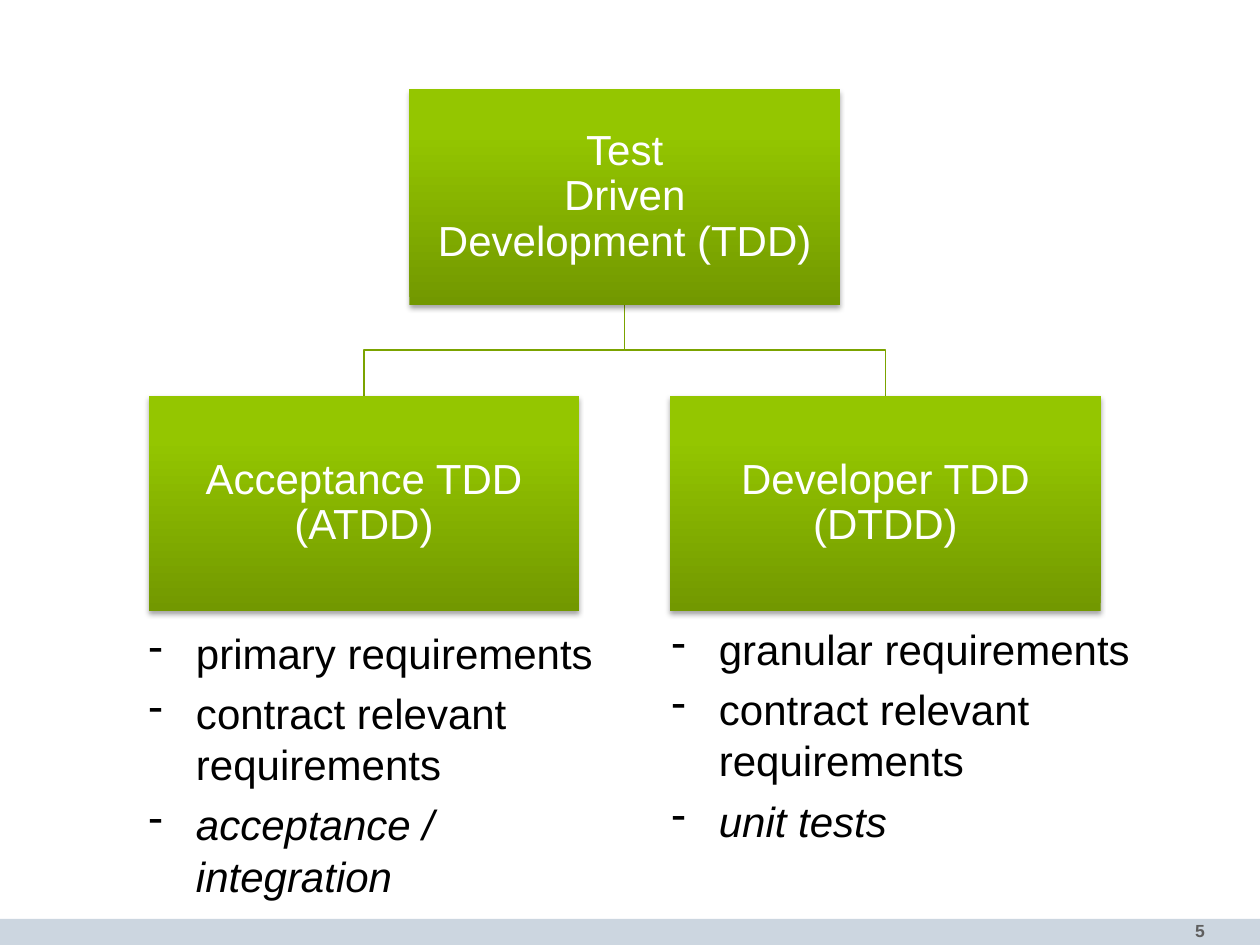
"""Build the slide that splits test driven development into its two kinds."""
from dataclasses import dataclass

from lxml import etree
from pptx import Presentation
from pptx.dml.color import RGBColor
from pptx.enum.shapes import MSO_SHAPE
from pptx.enum.text import MSO_ANCHOR, PP_ALIGN
from pptx.oxml import parse_xml
from pptx.oxml.ns import nsdecls, qn
from pptx.util import Pt

RECTANGLE = MSO_SHAPE.RECTANGLE
MIDDLE = MSO_ANCHOR.MIDDLE
CENTER, LEFT, RIGHT = PP_ALIGN.CENTER, PP_ALIGN.LEFT, PP_ALIGN.RIGHT

COLORS = {
    "footer": "CCD6E0", "number": "5F5F5F", "branch": "7BA300",
    "dark": "729800", "green": "94C600", "light": "95C700",
    "white": "FFFFFF", "black": "000000",
}
GRADIENT = ((0, "dark"), (80, "green"), (100, "light"))
FONT = "Arial"
BOX_W, BOX_H = 246, 123
ROOT_X, ROOT_Y = 234, 51.1
CHILD_OFFSET, CHILD_Y = 149, 226.1
LIST_W, LIST_H, INDENT = 266.4, 152.6, 27


@dataclass
class Box:
    label: str
    x: float
    y: float

    @property
    def center(self) -> float:
        return self.x + BOX_W / 2


@dataclass
class Traits:
    x: float
    y: float
    lines: tuple[str, ...]
    test_kind: str


ROOT = Box("Test\nDriven\nDevelopment (TDD)", ROOT_X, ROOT_Y)
CHILDREN = (
    Box("Acceptance TDD\n(ATDD)", ROOT_X - CHILD_OFFSET, CHILD_Y),
    Box("Developer TDD\n(DTDD)", ROOT_X + CHILD_OFFSET, CHILD_Y),
)
TRAITS = (
    Traits(85, 357.8, ("primary requirements", "contract relevant requirements"),
           "acceptance / integration"),
    Traits(383.8, 355.7, ("granular requirements", "contract relevant requirements"),
           "unit tests"),
)


def rgb(name: str) -> RGBColor:
    """Return a named colour."""
    return RGBColor.from_string(COLORS[name])


def set_margins(frame, margin: float) -> None:
    """Wrap a text frame and give it equal insets."""
    frame.word_wrap = True
    frame.margin_left = frame.margin_right = Pt(margin)
    frame.margin_top = frame.margin_bottom = Pt(margin)


def style(paragraph, size: float, color: str, align: PP_ALIGN) -> None:
    """Set the font and alignment of a paragraph."""
    paragraph.alignment = align
    paragraph.font.name = FONT
    paragraph.font.size = Pt(size)
    paragraph.font.color.rgb = rgb(color)


def draw_footer(slide) -> None:
    """Draw the footer band and the slide number."""
    band = slide.shapes.add_shape(RECTANGLE, Pt(0), Pt(525), Pt(720), Pt(15))
    band.shadow.inherit = False
    band.fill.solid()
    band.fill.fore_color.rgb = rgb("footer")
    band.line.fill.background()
    frame = slide.shapes.add_textbox(Pt(599), Pt(522), Pt(96.5), Pt(18.7)).text_frame
    frame.word_wrap = True
    number = frame.paragraphs[0]
    number.text = "5"
    style(number, 10, "number", RIGHT)
    number.font.bold = True


def draw_branch(slide, parent: Box, child: Box) -> None:
    """Draw the elbow line from a parent box to a child box."""
    start_y = parent.y + BOX_H
    bend_y = (start_y + child.y) / 2
    builder = slide.shapes.build_freeform(Pt(parent.center), Pt(start_y))
    corners = ((parent.center, bend_y), (child.center, bend_y), (child.center, child.y))
    builder.add_line_segments([(Pt(x), Pt(y)) for x, y in corners], close=False)
    branch = builder.convert_to_shape()
    branch.shadow.inherit = False
    branch.fill.background()
    branch.line.color.rgb = rgb("branch")
    branch.line.width = Pt(0.75)


def draw_box(slide, box: Box) -> None:
    """Draw a green box with a gradient, a soft shadow and its label."""
    shape = slide.shapes.add_shape(RECTANGLE, Pt(box.x), Pt(box.y), Pt(BOX_W), Pt(BOX_H))
    shape.fill.gradient()
    shape.fill.gradient_angle = 90
    shape.line.fill.background()
    properties = shape._element.spPr
    stops = properties.find(".//" + qn("a:gsLst"))
    for stop in list(stops):
        stops.remove(stop)
    for position, color in GRADIENT:
        stop = etree.SubElement(stops, qn("a:gs"), pos=str(position * 1000))
        etree.SubElement(stop, qn("a:srgbClr"), val=COLORS[color])
    properties.append(parse_xml(
        f'<a:effectLst {nsdecls("a")}><a:outerShdw blurRad="{Pt(3.1)}" dist="{Pt(1.8)}" '
        f'dir="5400000" rotWithShape="0"><a:srgbClr val="{COLORS["black"]}">'
        '<a:alpha val="35000"/></a:srgbClr></a:outerShdw></a:effectLst>'))
    frame = shape.text_frame
    set_margins(frame, 1.4)
    frame.vertical_anchor = MIDDLE
    label = frame.paragraphs[0]
    label.text = box.label
    label.line_spacing = 0.9
    style(label, 24, "white", CENTER)


def draw_traits(slide, traits: Traits) -> None:
    """Draw a dashed list whose last item is in italics."""
    frame = slide.shapes.add_textbox(
        Pt(traits.x), Pt(traits.y), Pt(LIST_W), Pt(LIST_H)).text_frame
    set_margins(frame, 0)
    for index, line in enumerate((*traits.lines, traits.test_kind)):
        item = frame.add_paragraph() if index else frame.paragraphs[0]
        item.text = line
        item.line_spacing = 1.02
        item.space_before = Pt(5)
        style(item, 24, "black", LEFT)
        if index == len(traits.lines):
            item.font.italic = True
        properties = item._p.get_or_add_pPr()
        properties.set("marL", str(Pt(INDENT)))
        properties.set("indent", str(-Pt(INDENT)))
        bullet = parse_xml(f'<a:buChar {nsdecls("a")} char="-"/>')
        properties.find(qn("a:defRPr")).addprevious(bullet)


def main() -> None:
    """Build and save the slide."""
    deck = Presentation()
    deck.slide_width, deck.slide_height = Pt(720), Pt(540)
    slide = deck.slides.add_slide(deck.slide_layouts[6])
    draw_footer(slide)
    for child in reversed(CHILDREN):
        draw_branch(slide, ROOT, child)
    for box in (ROOT, *CHILDREN):
        draw_box(slide, box)
    for traits in TRAITS:
        draw_traits(slide, traits)
    deck.save("out.pptx")


if __name__ == "__main__":
    main()
